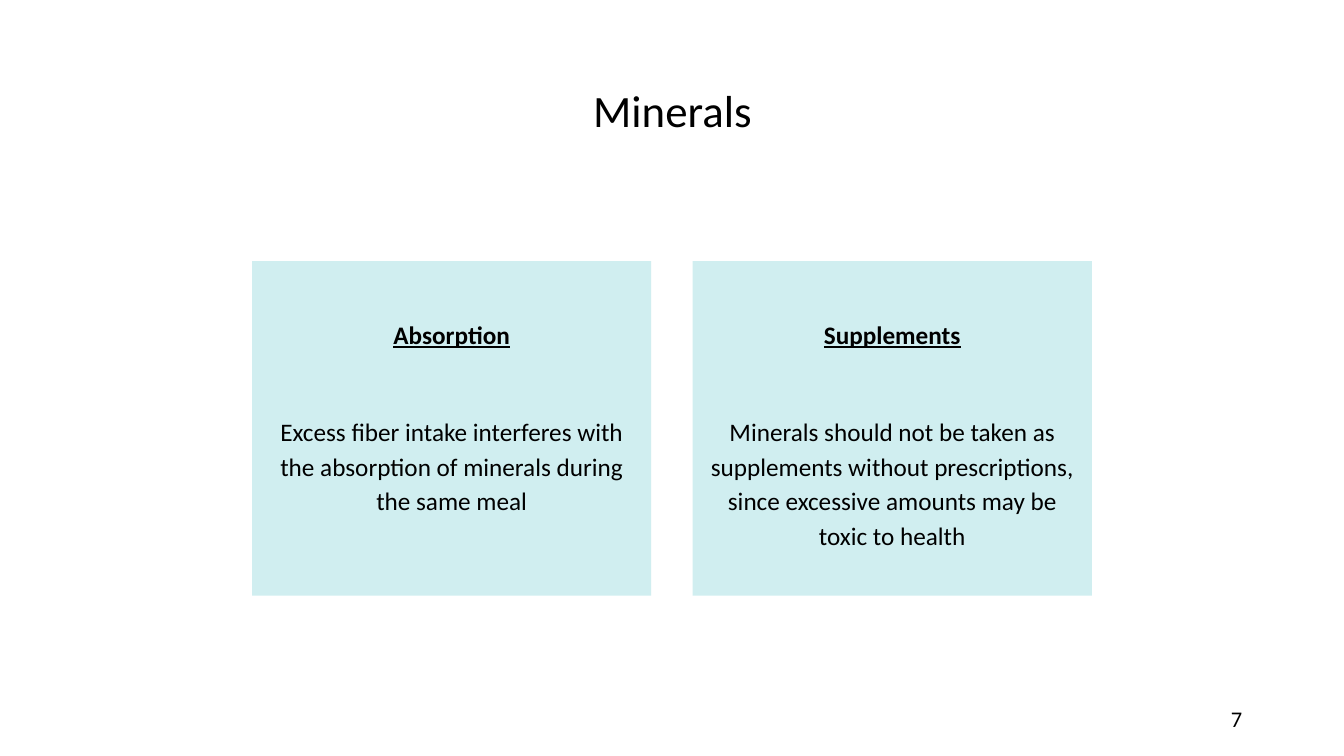
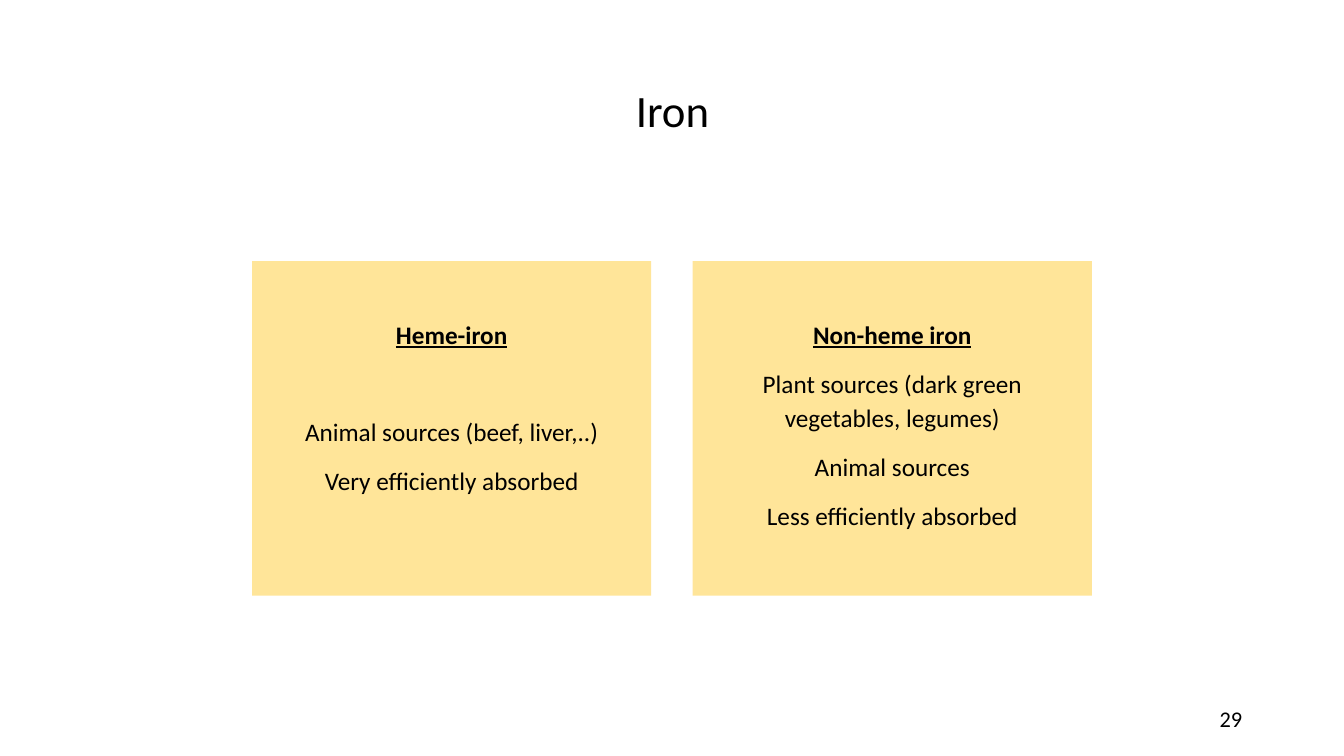
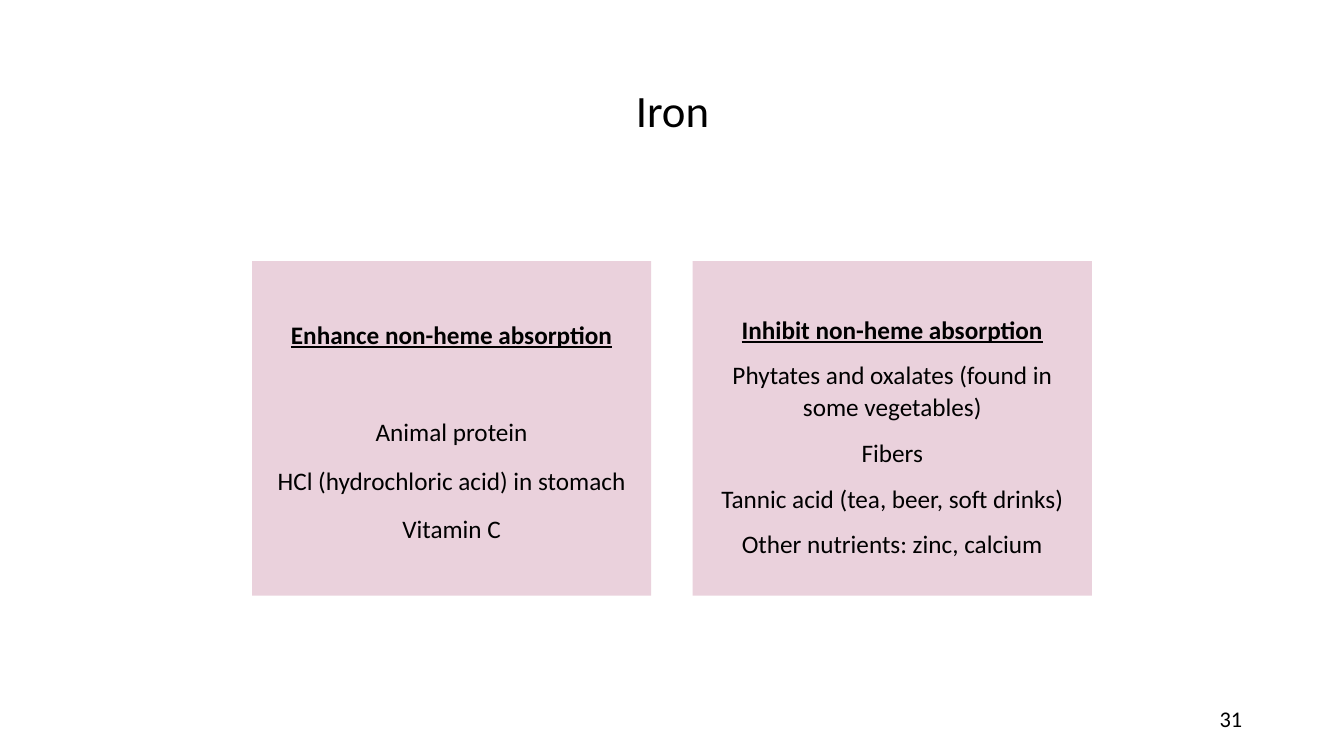
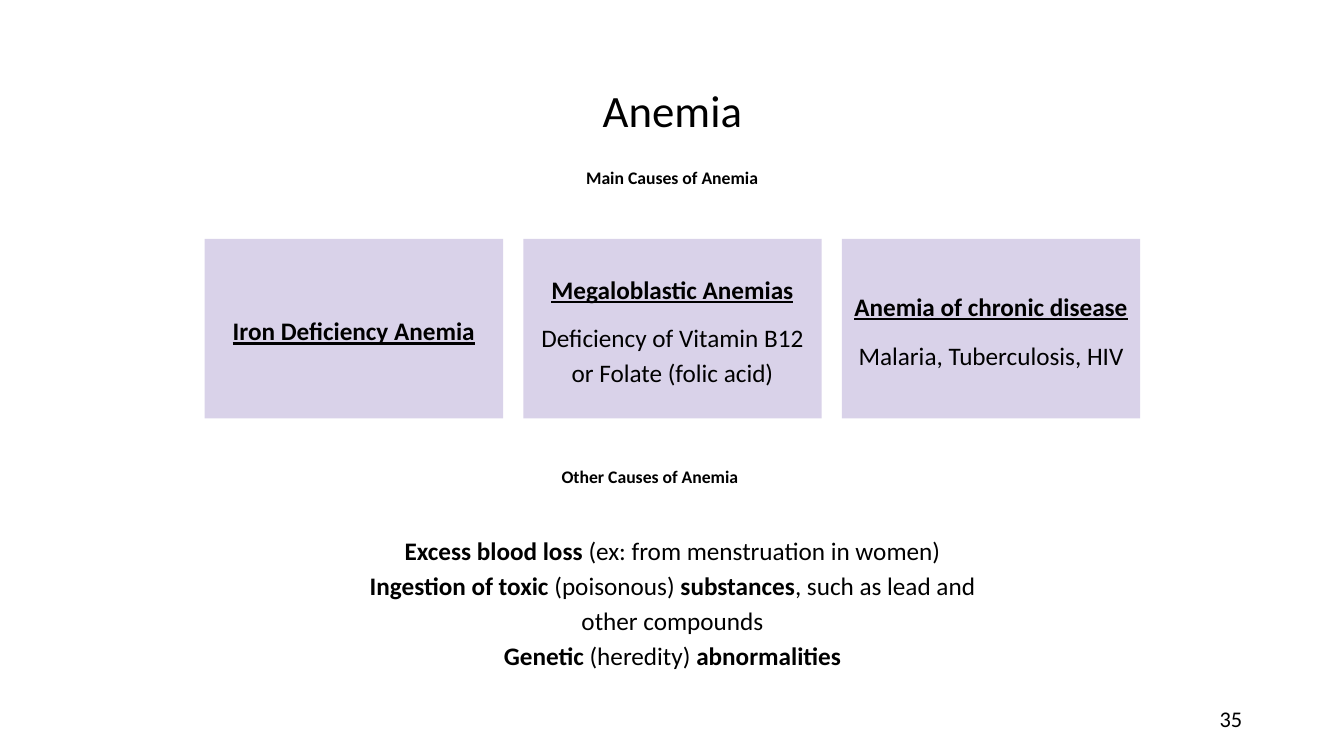
from lxml.etree import SubElement
from pptx import Presentation
from pptx.dml.color import RGBColor
from pptx.enum.shapes import MSO_SHAPE as Shape
from pptx.enum.text import MSO_ANCHOR as Anchor, MSO_AUTO_SIZE as AutoSize, PP_ALIGN as Align
from pptx.oxml.ns import qn
from pptx.util import Inches, Pt

COLORS = {"text": "000000", "aqua": "CBEDEF", "yellow": "FFE599",
          "pink": "EAD1DC", "lilac": "D9D2E9"}
FONT = "Calibri"
TITLE_AREA = (2.13, 0.4, 9.08, 1.45)
NUMBER_AREA = (9.42, 6.95, 3, 0.4)
PAIR = {"left": 2.5, "top": 2.59, "width": 3.96, "height": 3.32, "gap": 0.41}
TRIO = {"left": 2.03, "top": 2.37, "width": 2.96, "height": 1.78, "gap": 0.2}
HIGH = {"anchor": Anchor.TOP, "inset": 0.53}
LOW_GAP = {**HIGH, "body_gap": 44.5}
TIGHT = {"anchor": Anchor.TOP, "inset": 0.51, "spacing": 1.05}
CENTERED = {"anchor": Anchor.MIDDLE}

SLIDES = [
    {"title": "Minerals", "number": "7", "grid": PAIR, "color": "aqua", "opacity": 89,
     "cards": [
         ("Absorption",
          ["Excess fiber intake interferes with the absorption of minerals during the same meal"],
          LOW_GAP),
         ("Supplements",
          ["Minerals should not be taken as supplements without prescriptions, "
           "since excessive amounts may be toxic to health"],
          LOW_GAP)]},
    {"title": "Iron", "number": "29", "grid": PAIR, "color": "yellow",
     "cards": [
         ("Heme-iron",
          ["Animal sources (beef, liver,..)", "Very efficiently absorbed"], LOW_GAP),
         ("Non-heme iron",
          ["Plant sources (dark green vegetables, legumes)", "Animal sources",
           "Less efficiently absorbed"], HIGH)]},
    {"title": "Iron", "number": "31", "grid": PAIR, "color": "pink",
     "cards": [
         ("Enhance non-heme absorption",
          ["Animal protein", "HCl (hydrochloric acid) in stomach", "Vitamin C"], LOW_GAP),
         ("Inhibit non-heme absorption",
          ["Phytates and oxalates (found in some vegetables)", "Fibers",
           "Tannic acid (tea, beer, soft drinks)", "Other nutrients: zinc, calcium"], TIGHT)]},
    {"title": "Anemia", "number": "35", "grid": TRIO, "color": "lilac",
     "cards": [
         ("Iron Deficiency Anemia", [], CENTERED),
         ("Megaloblastic Anemias", ["Deficiency of Vitamin B12 or Folate (folic acid)"], CENTERED),
         ("Anemia of chronic disease", ["Malaria, Tuberculosis, HIV"], CENTERED)],
     "captions": [("Main Causes of Anemia", (2.72, 1.59, 7.89, 0.4)),
                  ("Other Causes of Anemia", (2.5, 4.55, 7.89, 0.4))],
     "causes": [
         [("Excess blood loss ", True), ("(ex: from menstruation in women)", False)],
         [("Ingestion of toxic", True), (" (poisonous) ", False), ("substances", True),
          (", such as lead and other compounds", False)],
         [("Genetic ", True), ("(heredity) ", False), ("abnormalities", True)]]},
]
CAUSES_AREA = (3.32, 5.17, 6.7, 1.55)


def set_all(target, values):
    for name, value in values.items():
        setattr(target, name, value)


def prepare(box, anchor=Anchor.TOP, inset=0.05):
    frame = box.text_frame
    set_all(frame, {"word_wrap": True, "auto_size": AutoSize.NONE, "vertical_anchor": anchor,
                    "margin_left": Inches(0.1), "margin_right": Inches(0.1),
                    "margin_top": Inches(inset), "margin_bottom": Inches(0.05)})
    return frame


def write(frame, paragraphs, size, spacing=1.0, align=Align.CENTER):
    for index, (spans, before) in enumerate(paragraphs):
        para = frame.paragraphs[0] if index == 0 else frame.add_paragraph()
        set_all(para, {"alignment": align, "line_spacing": spacing,
                       "space_before": Pt(before), "space_after": Pt(0)})
        for text, style in spans:
            span = para.add_run()
            span.text = text
            set_all(span.font, {"name": FONT, "size": Pt(size), "bold": False, **style})
            span.font.color.rgb = RGBColor.from_string(COLORS["text"])


def add_text(page, area, paragraphs, size, anchor=Anchor.TOP, inset=0.05, **style):
    box = page.shapes.add_textbox(*map(Inches, area))
    write(prepare(box, anchor, inset), paragraphs, size, **style)


def add_card(page, area, color, opacity, heading, lines, anchor,
             inset=0.05, spacing=1.15, body_gap=10):
    card = page.shapes.add_shape(Shape.RECTANGLE, *map(Inches, area))
    card.shadow.inherit = False
    card.fill.solid()
    card.fill.fore_color.rgb = RGBColor.from_string(COLORS[color])
    card.line.fill.background()
    if opacity < 100:
        hue = card.fill._xPr.find(qn("a:solidFill"))[0]
        SubElement(hue, qn("a:alpha"), val=str(opacity * 1000))
    paragraphs = [([(heading, {"bold": True, "underline": True})], 0)]
    paragraphs += [([(line, {})], 10 if index else body_gap) for index, line in enumerate(lines)]
    write(prepare(card, anchor, inset), paragraphs, 18, spacing)


def add_slide(deck, content):
    page = deck.slides.add_slide(deck.slide_layouts[5])
    title = page.shapes.title
    set_all(title, dict(zip(("left", "top", "width", "height"), map(Inches, TITLE_AREA))))
    write(prepare(title, Anchor.MIDDLE), [([(content["title"], {})], 0)], 32, 0.9)
    add_text(page, NUMBER_AREA, [([(content["number"], {})], 0)], 16, align=Align.RIGHT)

    grid = content["grid"]
    for column, (heading, lines, style) in enumerate(content["cards"]):
        left = grid["left"] + column * (grid["width"] + grid["gap"])
        area = (left, grid["top"], grid["width"], grid["height"])
        add_card(page, area, content["color"], content.get("opacity", 100),
                 heading, lines, **style)

    for caption, area in content.get("captions", []):
        add_text(page, area, [([(caption, {"bold": True})], 0)], 12.6, Anchor.MIDDLE, spacing=0.7)
    if "causes" in content:
        causes = [([(text, {"bold": bold}) for text, bold in spans], 0)
                  for spans in content["causes"]]
        add_text(page, CAUSES_AREA, causes, 18, inset=0.1, spacing=1.15)


def main():
    deck = Presentation()
    set_all(deck, {"slide_width": Inches(13.33), "slide_height": Inches(7.5)})
    for content in SLIDES:
        add_slide(deck, content)
    deck.save("out.pptx")


if __name__ == "__main__":
    main()
